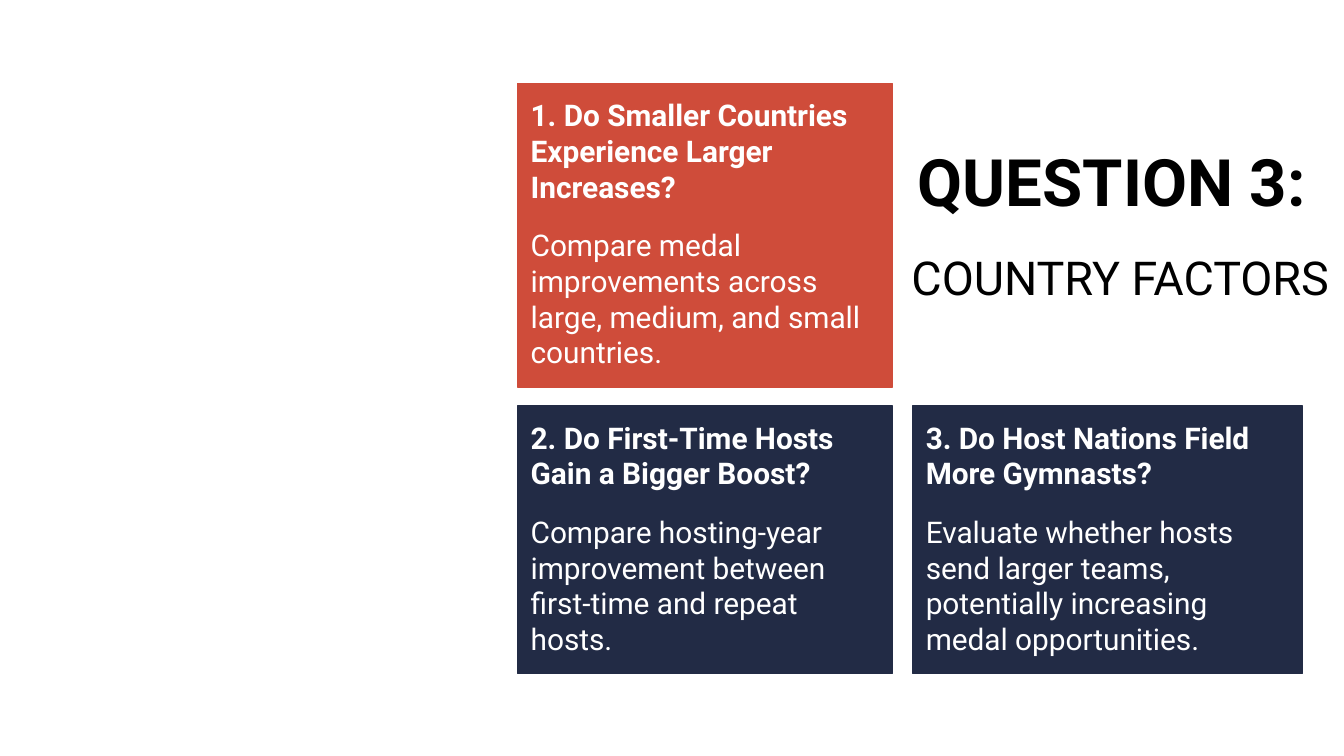
from dataclasses import dataclass

import pptx
import pptx.dml.color
import pptx.enum.shapes
import pptx.enum.text
import pptx.util


@dataclass(frozen=True)
class Theme:
    font: str = "Roboto"
    red: str = "CF4C3A"
    navy: str = "222B45"
    white: str = "FFFFFF"
    black: str = "000000"
    title_size: int = 35
    subtitle_size: int = 25
    body_size: int = 16
    gap: int = 12
    border: float = 0.75
    inset: float = 0.1
    card_right_inset: float = 0.2


THEME = Theme()
SLIDE_WIDTH = 10
SLIDE_HEIGHT = SLIDE_WIDTH * 9 / 16
COLUMNS = [(3.85, 2.79), (6.79, 2.9)]
ROWS = [(0.62, 2.26), (3.02, 1.99)]
QUESTIONS = [
    (0, 0, THEME.red, "1. Do Smaller Countries Experience Larger Increases?",
     "Compare medal improvements across large, medium, and small countries."),
    (0, 1, THEME.navy, "2. Do First-Time Hosts Gain a Bigger Boost?",
     "Compare hosting-year improvement between first-time and repeat hosts."),
    (1, 1, THEME.navy, "3. Do Host Nations Field More Gymnasts?",
     "Evaluate whether hosts send larger teams, potentially increasing medal opportunities."),
]


def rgb(colour):
    return pptx.dml.color.RGBColor.from_string(colour)


def place(left, top, width, height):
    return [pptx.util.Inches(length) for length in (left, top, width, height)]


def prepare_frame(frame, right_inset=THEME.inset):
    frame.word_wrap = True
    frame.vertical_anchor = pptx.enum.text.MSO_ANCHOR.TOP
    frame.margin_left = frame.margin_top = frame.margin_bottom = pptx.util.Inches(THEME.inset)
    frame.margin_right = pptx.util.Inches(right_inset)


def write(paragraph, wording, size, colour, bold, alignment):
    paragraph.text = wording
    paragraph.alignment = alignment
    paragraph.font.name = THEME.font
    paragraph.font.size = pptx.util.Pt(size)
    paragraph.font.bold = bold
    paragraph.font.color.rgb = rgb(colour)


def add_question_card(slide, column, row, colour, question, approach):
    (left, width), (top, height) = COLUMNS[column], ROWS[row]
    card = slide.shapes.add_shape(
        pptx.enum.shapes.MSO_SHAPE.RECTANGLE, *place(left, top, width, height))
    card.shadow.inherit = False
    card.fill.solid()
    card.fill.fore_color.rgb = rgb(colour)
    card.line.color.rgb = rgb(colour)
    card.line.width = pptx.util.Pt(THEME.border)
    frame = card.text_frame
    prepare_frame(frame, THEME.card_right_inset)
    left_aligned = pptx.enum.text.PP_ALIGN.LEFT
    write(frame.paragraphs[0], question, THEME.body_size, THEME.white, True, left_aligned)
    explanation = frame.add_paragraph()
    write(explanation, approach, THEME.body_size, THEME.white, False, left_aligned)
    explanation.space_before = pptx.util.Pt(THEME.gap)


def add_heading(slide, wording, position, size, bold, line_spacing):
    heading = slide.shapes.add_textbox(*place(*position))
    prepare_frame(heading.text_frame)
    paragraph = heading.text_frame.paragraphs[0]
    write(paragraph, wording, size, THEME.black, bold, pptx.enum.text.PP_ALIGN.CENTER)
    paragraph.line_spacing = line_spacing


def main():
    presentation = pptx.Presentation()
    presentation.slide_width = pptx.util.Inches(SLIDE_WIDTH)
    presentation.slide_height = pptx.util.Inches(SLIDE_HEIGHT)
    slide = presentation.slides.add_slide(presentation.slide_layouts[6])
    for question in QUESTIONS:
        add_question_card(slide, *question)
    add_heading(slide, "QUESTION 3:", (6.51, 0.95, 3.53, 0.79), THEME.title_size, True, 1.0)
    add_heading(slide, "COUNTRY FACTORS", (6.57, 1.69, 3.53, 0.62),
                THEME.subtitle_size, False, 1.15)
    presentation.save("out.pptx")


if __name__ == "__main__":
    main()
